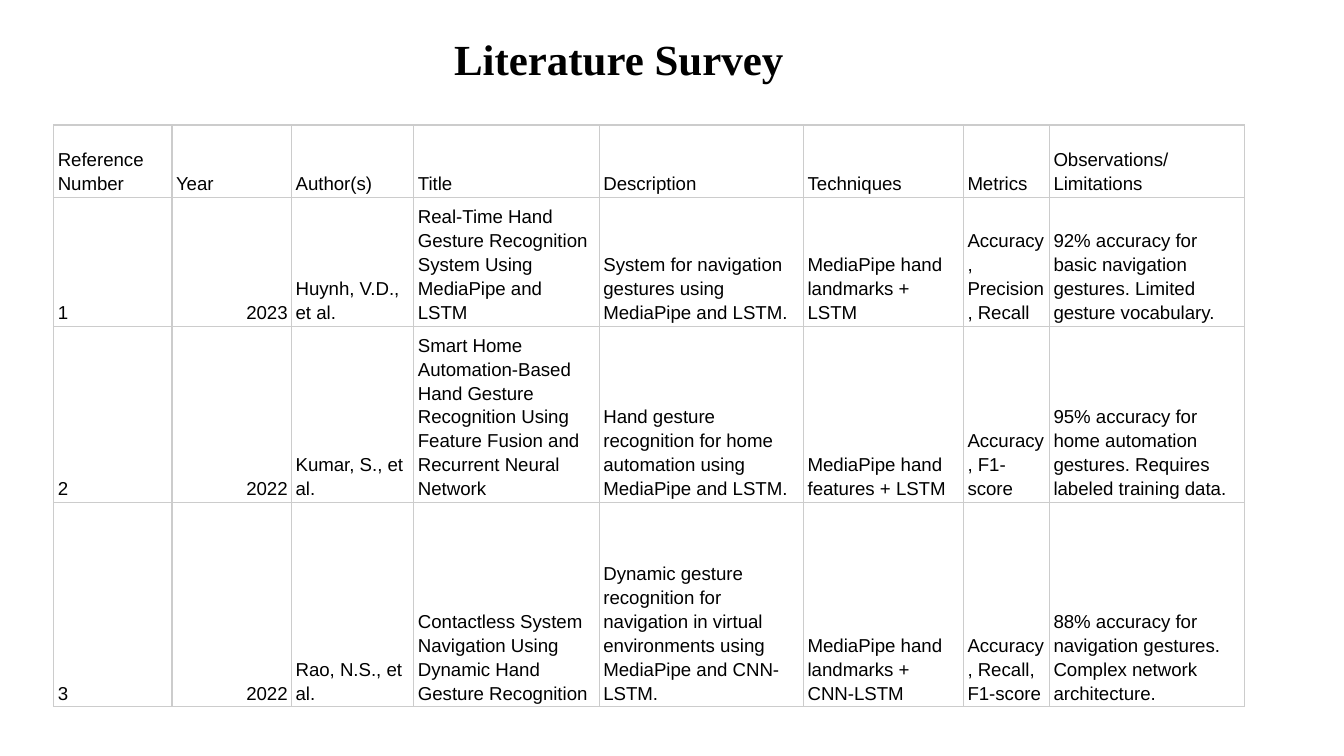
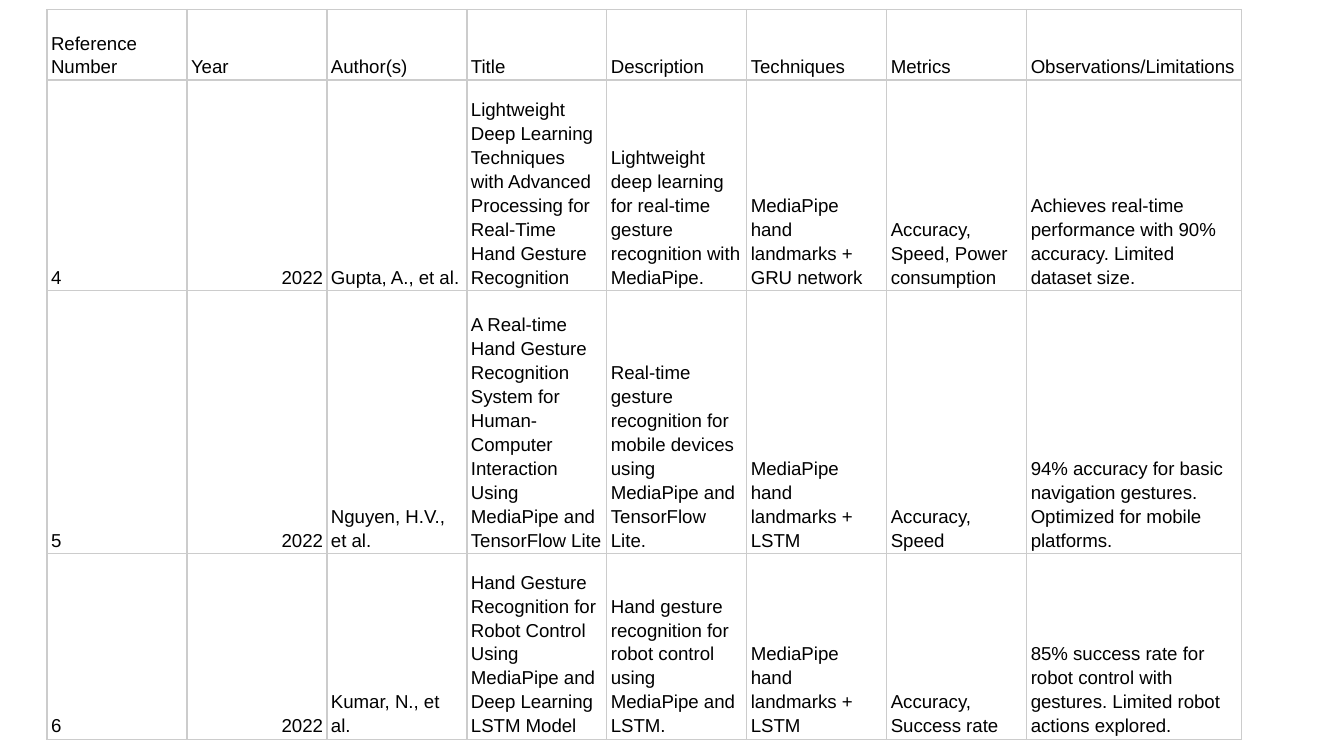
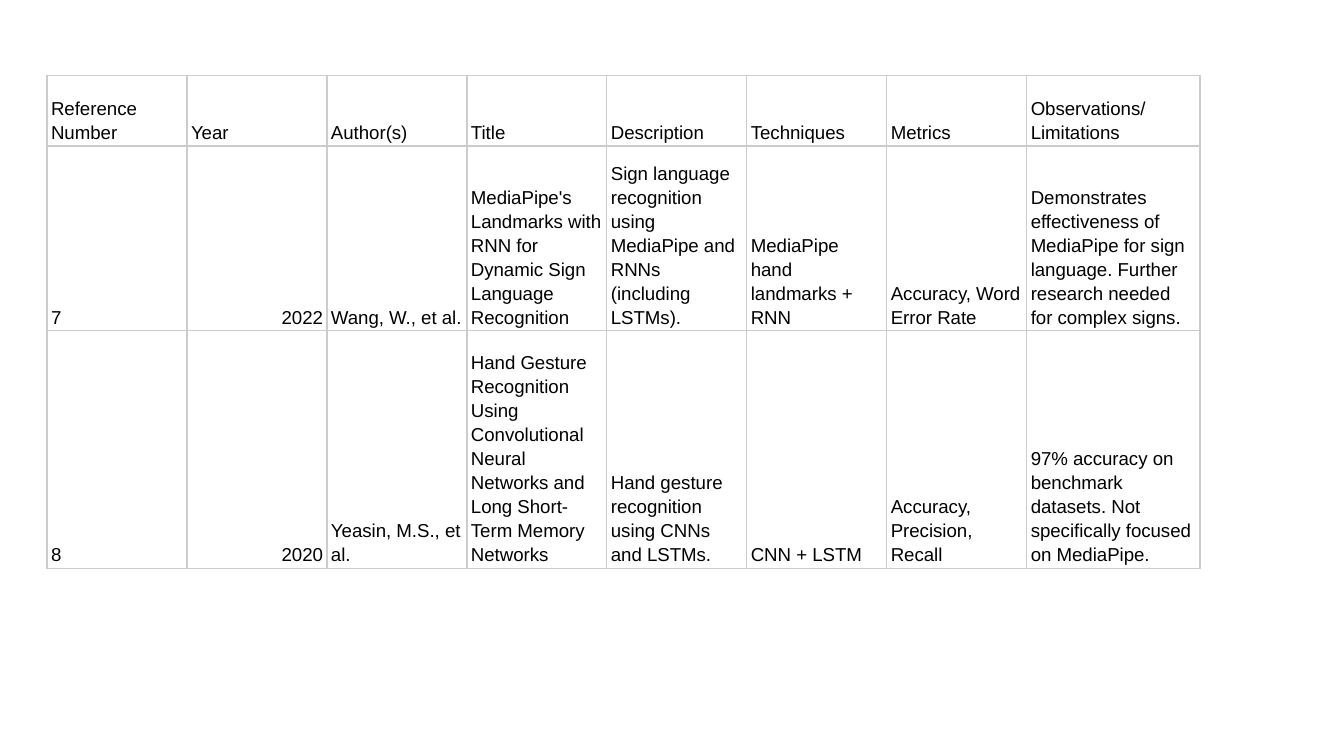
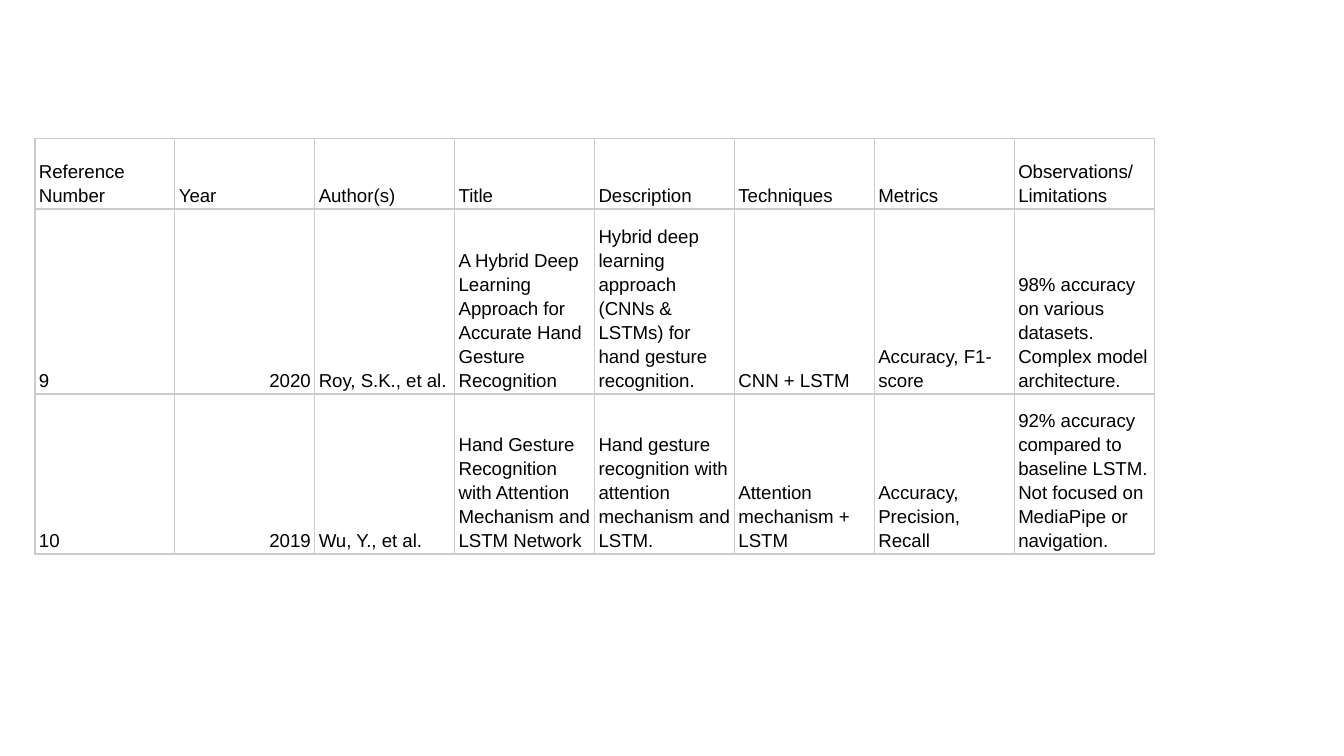
from lxml import etree
from pptx import Presentation
from pptx import util as u
from pptx.dml.color import RGBColor
from pptx.enum import text
from pptx.oxml.ns import qn

BLACK = RGBColor(0x00, 0x00, 0x00)
GRID = RGBColor(0xCC, 0xCC, 0xCC)
GRID_WIDTH = u.Pt(0.75)

SLIDE_WIDTH = u.Inches(10)
SLIDE_HEIGHT = SLIDE_WIDTH * 9 // 16

TITLE_FONT = {"name": "Times New Roman", "size": u.Pt(23), "bold": True}
CELL_FONT = {"name": "Arial", "size": u.Pt(10), "bold": False}
CELL_FORMAT = {
    "margin_left": u.Inches(0.03), "margin_right": u.Inches(0.03),
    "margin_top": u.Inches(0.02), "margin_bottom": u.Inches(0.02),
    "vertical_anchor": text.MSO_ANCHOR.BOTTOM,
}
PLAIN_TABLE = {"first_row": False, "horz_banding": False}
YEAR_COL = 1

HEADER = ["Reference Number", "Year", "Author(s)", "Title", "Description",
          "Techniques", "Metrics", "Observations/Limitations"]
HEADER_HEIGHT = 0.53
HEADER_STEP = 0.52

PAPERS = [
    ["1", "2023", "Huynh, V.D., et al.",
     "Real-Time Hand Gesture Recognition System Using MediaPipe and LSTM",
     "System for navigation gestures using MediaPipe and LSTM.",
     "MediaPipe hand landmarks + LSTM", "Accuracy, Precision, Recall",
     "92% accuracy for basic navigation gestures. Limited gesture vocabulary."],
    ["2", "2022", "Kumar, S., et al.",
     "Smart Home Automation-Based Hand Gesture Recognition Using "
     "Feature Fusion and Recurrent Neural Network",
     "Hand gesture recognition for home automation using MediaPipe and LSTM.",
     "MediaPipe hand features + LSTM", "Accuracy, F1-score",
     "95% accuracy for home automation gestures. Requires labeled training data."],
    ["3", "2022", "Rao, N.S., et al.",
     "Contactless System Navigation Using Dynamic Hand Gesture Recognition",
     "Dynamic gesture recognition for navigation in virtual environments "
     "using MediaPipe and CNN-LSTM.",
     "MediaPipe hand landmarks + CNN-LSTM", "Accuracy, Recall, F1-score",
     "88% accuracy for navigation gestures. Complex network architecture."],
    ["4", "2022", "Gupta, A., et al.",
     "Lightweight Deep Learning Techniques with Advanced Processing "
     "for Real-Time Hand Gesture Recognition",
     "Lightweight deep learning for real-time gesture recognition with MediaPipe.",
     "MediaPipe hand landmarks + GRU network", "Accuracy, Speed, Power consumption",
     "Achieves real-time performance with 90% accuracy. Limited dataset size."],
    ["5", "2022", "Nguyen, H.V., et al.",
     "A Real-time Hand Gesture Recognition System for Human-Computer "
     "Interaction Using MediaPipe and TensorFlow Lite",
     "Real-time gesture recognition for mobile devices using MediaPipe "
     "and TensorFlow Lite.",
     "MediaPipe hand landmarks + LSTM", "Accuracy, Speed",
     "94% accuracy for basic navigation gestures. Optimized for mobile platforms."],
    ["6", "2022", "Kumar, N., et al.",
     "Hand Gesture Recognition for Robot Control Using MediaPipe and "
     "Deep Learning LSTM Model",
     "Hand gesture recognition for robot control using MediaPipe and LSTM.",
     "MediaPipe hand landmarks + LSTM", "Accuracy, Success rate",
     "85% success rate for robot control with gestures. "
     "Limited robot actions explored."],
    ["7", "2022", "Wang, W., et al.",
     "MediaPipe's Landmarks with RNN for Dynamic Sign Language Recognition",
     "Sign language recognition using MediaPipe and RNNs (including LSTMs).",
     "MediaPipe hand landmarks + RNN", "Accuracy, Word Error Rate",
     "Demonstrates effectiveness of MediaPipe for sign language. "
     "Further research needed for complex signs."],
    ["8", "2020", "Yeasin, M.S., et al.",
     "Hand Gesture Recognition Using Convolutional Neural Networks and "
     "Long Short-Term Memory Networks",
     "Hand gesture recognition using CNNs and LSTMs.",
     "CNN + LSTM", "Accuracy, Precision, Recall",
     "97% accuracy on benchmark datasets. Not specifically focused on MediaPipe."],
    ["9", "2020", "Roy, S.K., et al.",
     "A Hybrid Deep Learning Approach for Accurate Hand Gesture Recognition",
     "Hybrid deep learning approach (CNNs & LSTMs) for hand gesture recognition.",
     "CNN + LSTM", "Accuracy, F1-score",
     "98% accuracy on various datasets. Complex model architecture."],
    ["10", "2019", "Wu, Y., et al.",
     "Hand Gesture Recognition with Attention Mechanism and LSTM Network",
     "Hand gesture recognition with attention mechanism and LSTM.",
     "Attention mechanism + LSTM", "Accuracy, Precision, Recall",
     "92% accuracy compared to baseline LSTM. "
     "Not focused on MediaPipe or navigation."],
]


def set_attrs(obj, values):
    for name, value in values.items():
        setattr(obj, name, value)


def set_font(r, values):
    set_attrs(r.font, values)
    r.font.color.rgb = BLACK


def add_borders(cell):
    tc_pr = cell._tc.get_or_add_tcPr()
    for i, side in enumerate(("lnL", "lnR", "lnT", "lnB")):
        ln = etree.Element(qn(f"a:{side}"), w=str(GRID_WIDTH))
        fill = etree.SubElement(ln, qn("a:solidFill"))
        etree.SubElement(fill, qn("a:srgbClr"), val=str(GRID))
        tc_pr.insert(i, ln)


def fill_cell(cell, content, align):
    set_attrs(cell, CELL_FORMAT)
    cell.fill.background()
    add_borders(cell)
    p = cell.text_frame.paragraphs[0]
    set_attrs(p, {"alignment": align, "line_spacing": 1.15})
    r = p.add_run()
    r.text = content
    set_font(r, CELL_FONT)


def add_grid(s, box, rows, widths, heights):
    """Draw a ruled table; the box may be taller than the minimum row heights."""
    frame = s.shapes.add_table(len(rows), len(widths), *map(u.Inches, box))
    table = frame.table
    set_attrs(table, PLAIN_TABLE)
    for col, width in zip(table.columns, widths):
        col.width = u.Inches(width)
    for row, height in zip(table.rows, heights):
        row.height = u.Inches(height)
    frame.height = u.Inches(box[3])
    for i, row in enumerate(rows):
        for j, content in enumerate(row):
            right = j == YEAR_COL and row is not HEADER
            align = text.PP_ALIGN.RIGHT if right else text.PP_ALIGN.LEFT
            fill_cell(table.cell(i, j), content, align)


def add_title(s, box, content):
    sp = s.shapes.add_textbox(*map(u.Inches, box))
    tf = sp.text_frame
    margins = dict.fromkeys(
        ("margin_left", "margin_right", "margin_top", "margin_bottom"), u.Inches(0.1))
    set_attrs(tf, {**margins, "word_wrap": True,
                   "auto_size": text.MSO_AUTO_SIZE.SHAPE_TO_FIT_TEXT})
    r = tf.paragraphs[0].add_run()
    r.text = content
    set_font(r, TITLE_FONT)


def new_slide(prs):
    return prs.slides.add_slide(prs.slide_layouts[6])


def opening_slide(prs, papers):
    s = new_slide(prs)
    add_grid(s, (0.4, 0.93, 8.86, 4.41), [HEADER, *papers],
             [0.88, 0.89, 0.91, 1.38, 1.52, 1.19, 0.64, 1.45],
             [0.54, 0.96, 1.31, 1.52])
    add_title(s, (3.28, 0.14, 6.72, 0.59), "Literature Survey")


def continuation_slide(prs, papers, box, last_width, heights):
    """Place the papers in the box and a separate header table on top of it."""
    s = new_slide(prs)
    left, top, width, _ = box
    equal = len(HEADER) - 1
    widths = [(width - last_width) / equal] * equal + [last_width]
    add_grid(s, box, papers, widths, heights)
    add_grid(s, (left, top - HEADER_STEP, width, HEADER_HEIGHT),
             [HEADER], widths, [HEADER_HEIGHT])


def main():
    prs = Presentation()
    set_attrs(prs, {"slide_width": SLIDE_WIDTH, "slide_height": SLIDE_HEIGHT})
    opening_slide(prs, PAPERS[:3])
    continuation_slide(prs, PAPERS[3:6], (0.35, 0.59, 8.89, 5.06), 1.6,
                       [1.3, 1.77, 1.15])
    continuation_slide(prs, PAPERS[6:8], (0.35, 1.08, 8.58, 3.12), 1.29, [1.3, 1.46])
    continuation_slide(prs, PAPERS[8:], (0.26, 1.55, 8.33, 2.54), 8.33 / len(HEADER),
                       [1.15, 0.99])
    prs.save("out.pptx")


if __name__ == "__main__":
    main()
